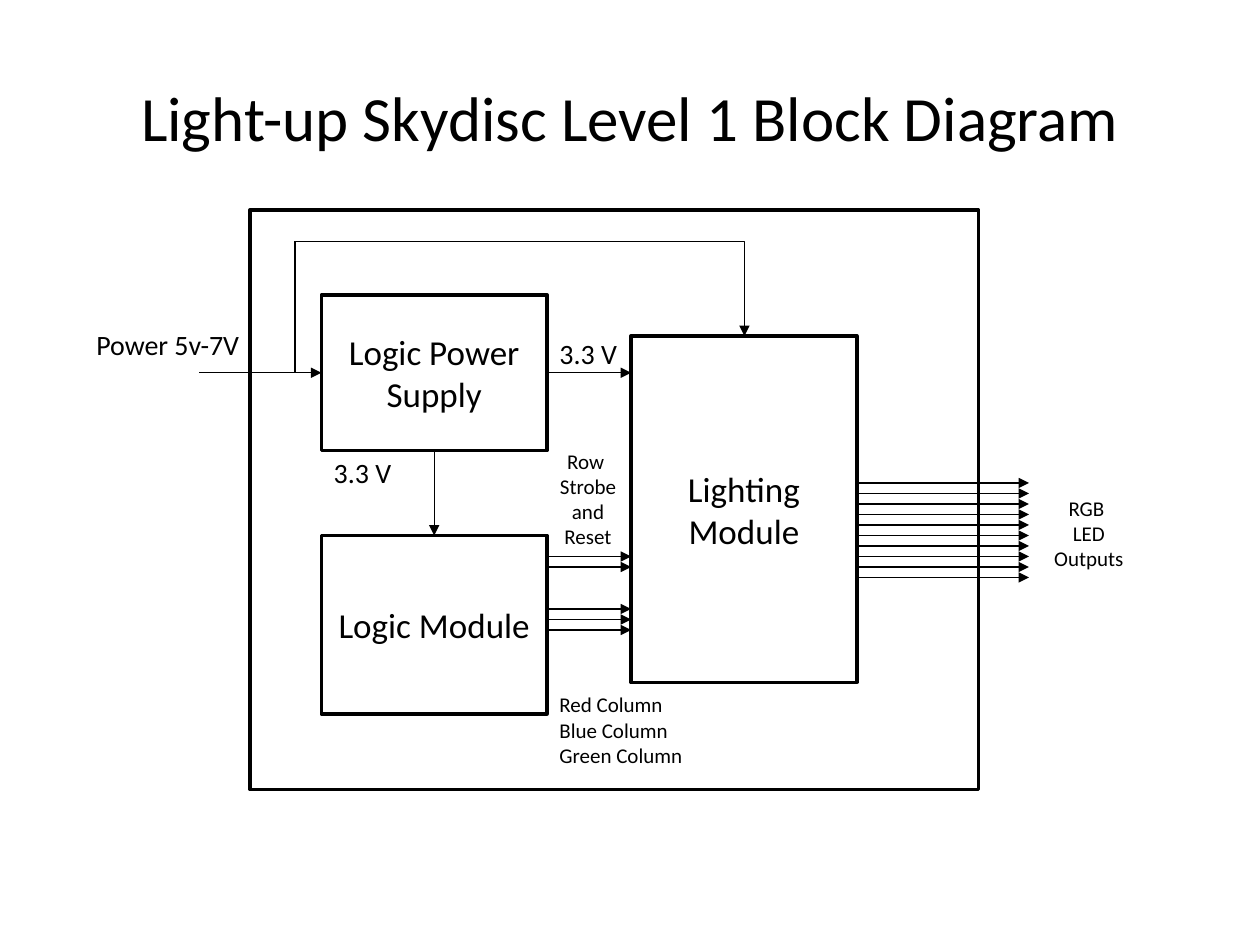
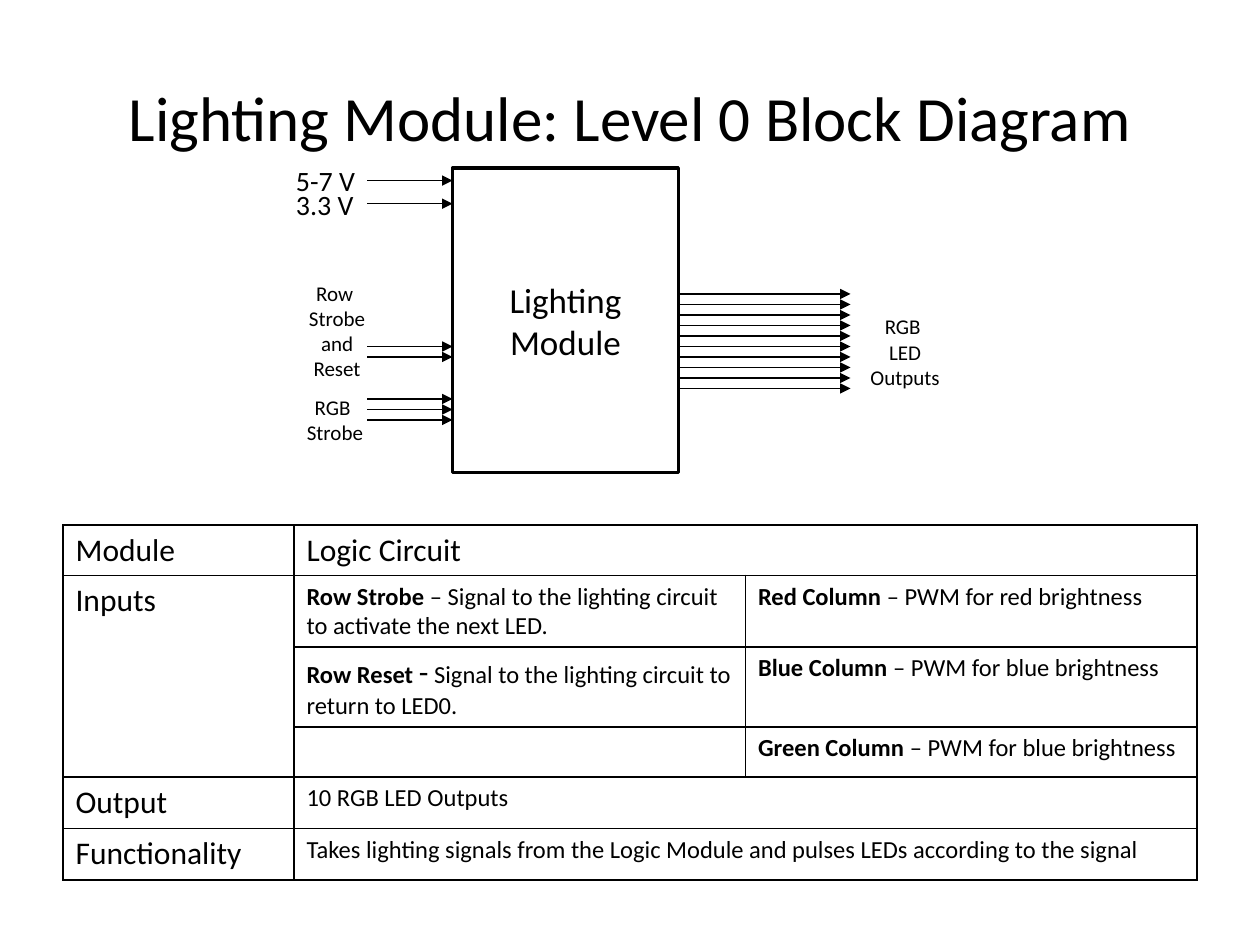
from dataclasses import dataclass
from typing import NamedTuple

from lxml.etree import SubElement
from pptx import Presentation
from pptx.dml.color import RGBColor
from pptx.enum.shapes import MSO_CONNECTOR as CONN, MSO_SHAPE
from pptx.enum.text import MSO_ANCHOR as ANCHOR, MSO_AUTO_SIZE as AUTO, PP_ALIGN as ALIGN
from pptx.oxml.ns import qn
from pptx.util import Emu, Pt

BLACK = RGBColor(0x00, 0x00, 0x00)
WHITE = RGBColor(0xFF, 0xFF, 0xFF)
FONT = "Calibri"
PX = 7620  # EMU, 120 px to the inch
TOP, LEFT, BOTTOM, RIGHT = range(4)
ARROW_GAP = 10
OUTPUT_COUNT, OUTPUT_LENGTH = 10, 164


def px(n: int) -> Emu:
    return Emu(n * PX)


@dataclass(frozen=True)
class Box:
    x: int
    y: int
    w: int
    h: int
    text: str = ""

    @property
    def right(self) -> int:
        return self.x + self.w

    def emu(self) -> list[Emu]:
        return [px(n) for n in (self.x, self.y, self.w, self.h)]


@dataclass(frozen=True)
class Label:
    box: Box
    size: int = 12
    align: ALIGN = ALIGN.CENTER
    wrap: bool = False


class Span(NamedTuple):
    text: str
    size: int = 14
    bold: bool = False


def style_run(r, size: int, bold: bool = False) -> None:
    f = r.font
    f.name, f.size, f.bold = FONT, Pt(size), bold
    f.color.rgb = BLACK


def write(tf, text: str, size: int, align: ALIGN) -> None:
    """Fill a frame; a vertical tab in the text is a line break."""
    tf.text = text
    for p in tf.paragraphs:
        p.alignment = align
        for r in p.runs:
            style_run(r, size)
        for br in p._p.findall(qn("a:br")):
            SubElement(br, qn("a:rPr"), sz=str(size * 100))


def add_title(s, text: str) -> None:
    tf = s.shapes.add_textbox(*Box(60, 36, 1080, 150).emu()).text_frame
    tf.word_wrap = True
    tf.vertical_anchor = ANCHOR.MIDDLE
    write(tf, text, 36, ALIGN.CENTER)


def add_label(s, label: Label) -> None:
    tf = s.shapes.add_textbox(*label.box.emu()).text_frame
    tf.word_wrap = label.wrap
    tf.auto_size = AUTO.SHAPE_TO_FIT_TEXT
    write(tf, label.box.text, label.size, label.align)


def add_block(s, box: Box):
    sp = s.shapes.add_shape(MSO_SHAPE.RECTANGLE, *box.emu())
    sp.shadow.inherit = False
    sp.fill.solid()
    sp.fill.fore_color.rgb = WHITE
    sp.line.color.rgb = BLACK
    sp.line.width = Pt(2)
    if box.text:
        sp.text_frame.word_wrap = True
        sp.text_frame.vertical_anchor = ANCHOR.MIDDLE
        write(sp.text_frame, box.text, 20, ALIGN.CENTER)
    return sp


def add_wire(s, x1: int, y1: int, x2: int, y2: int, arrow: bool = True, bent: bool = False):
    kind = CONN.ELBOW if bent else CONN.STRAIGHT
    wire = s.shapes.add_connector(kind, px(x1), px(y1), px(x2), px(y2))
    wire.line.color.rgb = BLACK
    wire.line.width = Pt(0.75)
    sp_pr = wire.element.spPr
    if bent:
        sp_pr.find(qn("a:prstGeom")).set("prst", "bentConnector2")
    if arrow:
        SubElement(sp_pr.find(qn("a:ln")), qn("a:tailEnd"), type="triangle")
    SubElement(sp_pr, qn("a:effectLst"))
    return wire


def add_bus(s, x1: int, x2: int, y: int, count: int) -> None:
    """Draw parallel arrows at equal gaps."""
    for i in range(count):
        add_wire(s, x1, y + i * ARROW_GAP, x2, y + i * ARROW_GAP)


def add_outputs(s, module: Box, y: int, label_x: int, label_y: int) -> None:
    add_bus(s, module.right, module.right + OUTPUT_LENGTH, y, OUTPUT_COUNT)
    add_label(s, Label(Box(label_x, label_y, 94, 85, "RGB \vLED Outputs"), wrap=True))


def voltage(x: int, y: int, text: str = "3.3 V") -> Label:
    return Label(Box(x, y, 80, 44, text), 16, ALIGN.LEFT)


def row_signals(x: int, y: int) -> Label:
    return Label(Box(x, y, 78, 109, "Row \vStrobe\vand\vReset"))


def add_border(cell) -> None:
    tc_pr = cell._tc.get_or_add_tcPr()
    for side in ("lnL", "lnR", "lnT", "lnB"):
        ln = SubElement(tc_pr, qn(f"a:{side}"), w=str(Pt(1)))
        fill = SubElement(ln, qn("a:solidFill"))
        SubElement(fill, qn("a:srgbClr"), val=str(BLACK))


def add_spec_table(s) -> None:
    widths = (220, 430, 430)
    heights = (48, 68, 76, 48, 49, 49)
    merges = ((0, 1, 0, 2), (1, 0, 3, 0), (4, 1, 4, 2), (5, 1, 5, 2))
    contents = {
        (0, 0): [Span("Module", 18)],
        (0, 1): [Span("Logic Circuit", 18)],
        (1, 0): [Span("Inputs", 18)],
        (1, 1): [Span("Row Strobe", bold=True),
                 Span(" – Signal to the lighting circuit to activate the next LED.")],
        (2, 1): [Span("Row Reset ", bold=True), Span("-", 18), Span(" ", bold=True),
                 Span("Signal to the lighting circuit to return to LED0.")],
        (4, 0): [Span("Output", 18)],
        (4, 1): [Span("10 RGB LED Outputs")],
        (5, 0): [Span("Functionality", 18)],
        (5, 1): [Span("Takes lighting signals from the Logic Module and pulses LEDs "
                      "according to the signal")],
    }
    columns = (("Red", "red"), ("Blue", "blue"), ("Green", "blue"))
    for row, (name, brightness) in enumerate(columns, 1):
        contents[row, 2] = [Span(f"{name} Column ", bold=True),
                            Span(f"– PWM for {brightness} brightness")]

    frame = Box(60, 500, sum(widths), sum(heights))
    table = s.shapes.add_table(len(heights), len(widths), *frame.emu()).table
    table.first_row = table.horz_banding = False
    for col, w in zip(table.columns, widths):
        col.width = px(w)
    for row, h in zip(table.rows, heights):
        row.height = px(h)
    for cell in table.iter_cells():
        add_border(cell)
        cell.fill.solid()
        cell.fill.fore_color.rgb = WHITE
    for top, left, bottom, right in merges:
        table.cell(top, left).merge(table.cell(bottom, right))
    for (row, col), spans in contents.items():
        p = table.cell(row, col).text_frame.paragraphs[0]
        for span in spans:
            r = p.add_run()
            r.text = span.text
            style_run(r, span.size, span.bold)


def build_level_1(s) -> None:
    add_title(s, "Light-up Skydisc Level 1 Block Diagram")
    supply = Box(306, 281, 215, 148, "Logic Power Supply")
    logic = Box(306, 510, 215, 170, "Logic Module")
    lighting = Box(601, 320, 215, 330, "Lighting Module")
    add_block(s, Box(238, 200, 694, 552))
    supply_sp, logic_sp, _ = [add_block(s, b) for b in (supply, logic, lighting)]

    power_y, branch_x, branch_y = 355, 281, 230
    add_wire(s, 190, power_y, supply.x, power_y).end_connect(supply_sp, LEFT)
    add_wire(s, supply.right, power_y, lighting.x, power_y).begin_connect(supply_sp, RIGHT)
    feed = add_wire(s, 413, 429, 413, logic.y)
    feed.begin_connect(supply_sp, BOTTOM)
    feed.end_connect(logic_sp, TOP)
    add_wire(s, supply.x, power_y, branch_x, branch_y, arrow=False, bent=True)
    add_wire(s, branch_x, branch_y, 709, lighting.y, bent=True)

    for y, count in ((530, 2), (580, 3)):
        add_bus(s, logic.right, lighting.x, y, count)
    add_outputs(s, lighting, 460, 990, 466)
    for label in (
        Label(Box(80, 306, 164, 44, "Power 5v-7V"), 16, ALIGN.LEFT, True),
        voltage(306, 428),
        voltage(521, 315),
        row_signals(521, 421),
        Label(Box(521, 653, 145, 85, "Red Column\vBlue Column\nGreen Column"),
              align=ALIGN.LEFT, wrap=True),
    ):
        add_label(s, label)


def build_level_0(s) -> None:
    add_title(s, "Lighting Module: Level 0 Block Diagram")
    lighting = Box(431, 160, 215, 290, "Lighting Module")
    add_block(s, lighting)
    for y, count in ((172, 1), (194, 1), (330, 2), (380, 3)):
        add_bus(s, 350, lighting.x, y, count)
    add_outputs(s, lighting, 280, 815, 293)
    for label in (
        voltage(270, 150, "5-7 V"),
        voltage(270, 173),
        row_signals(282, 261),
        Label(Box(280, 370, 78, 60, "RGB \vStrobe")),
    ):
        add_label(s, label)
    add_spec_table(s)


def main() -> None:
    prs = Presentation()
    prs.slide_width, prs.slide_height = px(1200), px(900)
    for build in (build_level_1, build_level_0):
        build(prs.slides.add_slide(prs.slide_layouts[6]))
    prs.save("out.pptx")


if __name__ == "__main__":
    main()
